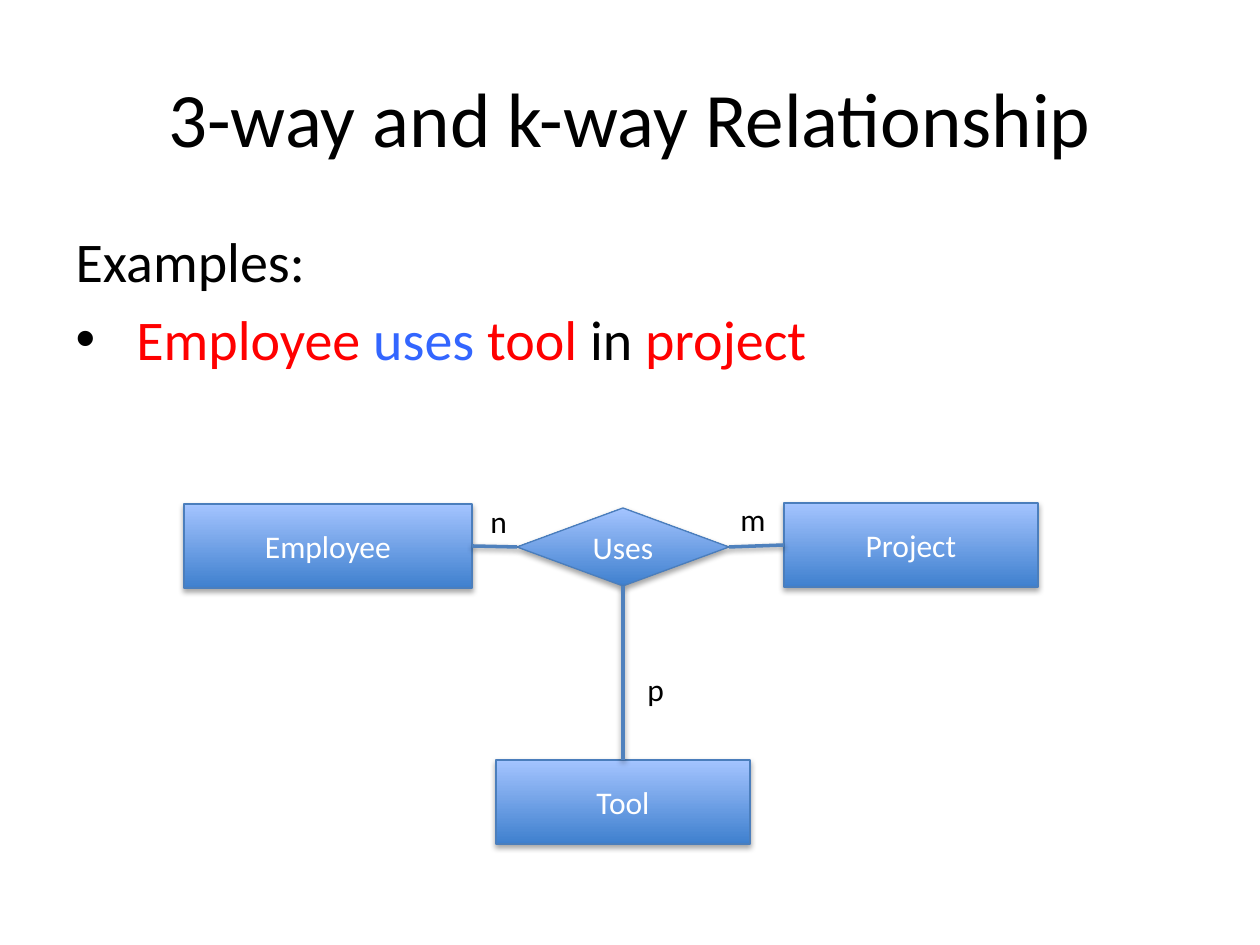
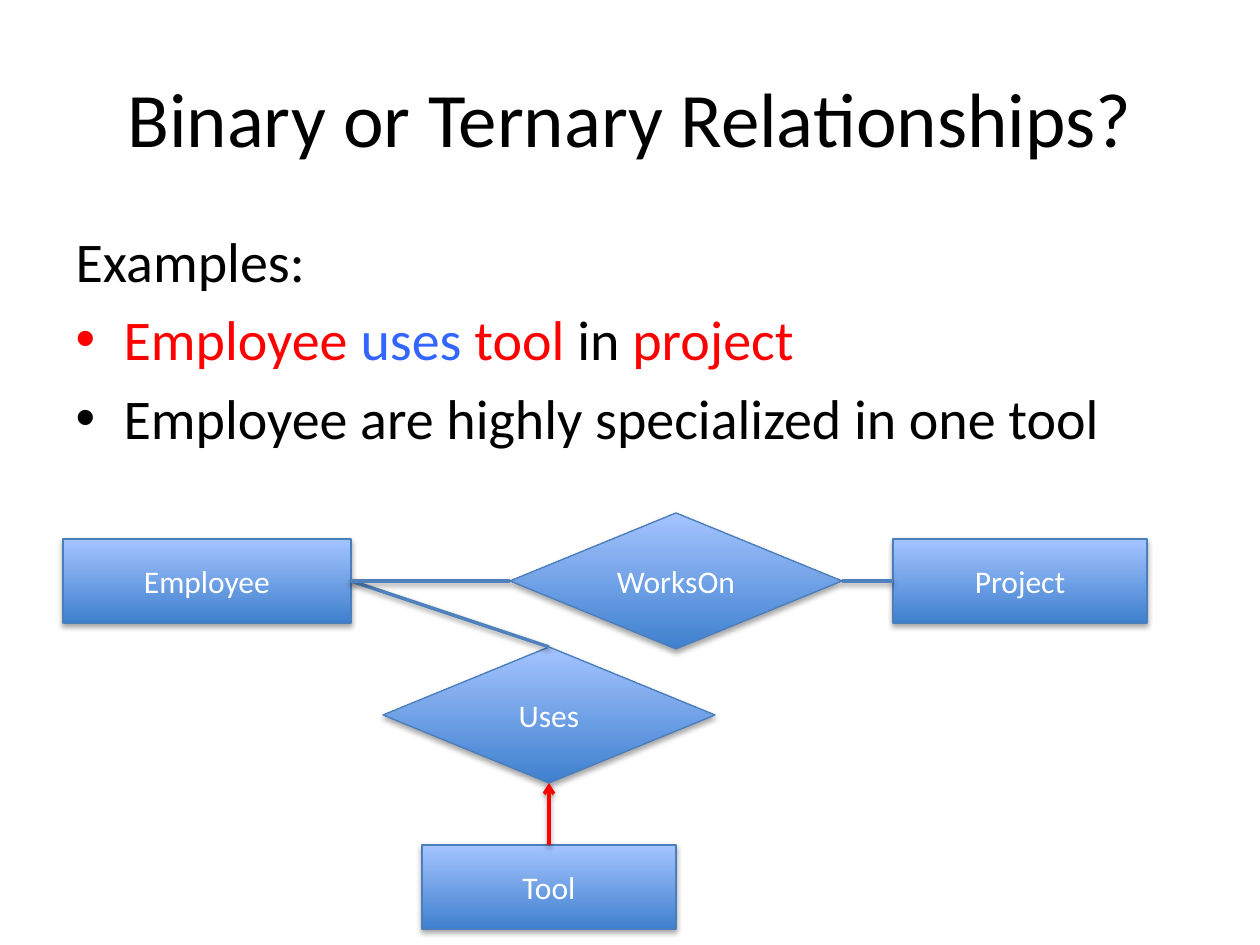
import pptx
import pptx.util
import pptx.dml.color
import pptx.enum.dml
import pptx.enum.shapes
import pptx.enum.text
import pptx.oxml
import pptx.oxml.ns

COLORS = {
    "ink": "000000",
    "entity": "FF0000",
    "relation": "3366FF",
    "light": "A4C4FF",
    "dark": "3F80CE",
    "outline": "4B7EBC",
    "link": "4F81BD",
    "node_text": "FFFFFF",
    "arrow": "FF0000",
}
FONT = "Calibri"
PX = 914400 / 126
TITLE_BOX = (63, 38, 1134, 157)
BODY_LEFT, BODY_TOP, BODY_WIDTH = 63, 220, 1134
BULLET_INDENT = 48
LABEL_HEIGHT = 50
TOP, LEFT, BOTTOM, RIGHT = range(4)

ENTITY_SIZES = {"Employee": (288, 84), "Project": (254, 84), "Tool": (254, 84)}
SENTENCE = [
    ("Employee ", "entity"),
    ("uses ", "relation"),
    ("tool", "entity"),
    (" in ", "ink"),
    ("project", "entity"),
]

SLIDES = [
    {
        "title": "3-way and k-way Relationship",
        "body_height": 624,
        "bullets": [[(" ", "ink")] + SENTENCE],
        "diamond": (212, 78),
        "nodes": {
            "Project": (784, 503),
            "Employee": (184, 504),
            "Uses": (517, 508),
            "Tool": (496, 760),
        },
        "links": [
            ("Uses", LEFT, "Employee", RIGHT, "link"),
            ("Project", LEFT, "Uses", RIGHT, "link"),
            ("Tool", TOP, "Uses", BOTTOM, "link"),
        ],
        "cardinalities": [("n", 478, 496, 42), ("m", 728, 494, 50), ("p", 635, 664, 42)],
    },
    {
        "title": "Binary or Ternary Relationships?",
        "body_height": 724,
        "bullets": [SENTENCE, [("Employee are highly specialized in one tool", "ink")]],
        "diamond": (332, 136),
        "nodes": {
            "Project": (893, 539),
            "Employee": (63, 539),
            "Uses": (383, 647),
            "Tool": (422, 845),
            "WorksOn": (510, 513),
        },
        "links": [
            ("Uses", TOP, "Employee", RIGHT, "link"),
            ("Project", LEFT, "WorksOn", RIGHT, "link"),
            ("WorksOn", LEFT, "Employee", RIGHT, "link"),
            ("Tool", TOP, "Uses", BOTTOM, "arrow"),
        ],
        "cardinalities": [],
    },
]


def px(*lengths):
    return [round(length * PX) for length in lengths]


def rgb(color):
    return pptx.dml.color.RGBColor.from_string(COLORS[color])


def place(part, box):
    part.left, part.top, part.width, part.height = px(*box)


def add_run(paragraph, text, size, color):
    run = paragraph.add_run()
    run.text = text
    run.font.name = FONT
    run.font.size = pptx.util.Pt(size)
    run.font.color.rgb = rgb(color)


def add_shadow(part, distance, alpha):
    properties = part._element.spPr
    for effects in properties.findall(pptx.oxml.ns.qn("a:effectLst")):
        properties.remove(effects)
    properties.append(pptx.oxml.parse_xml(
        f'<a:effectLst {pptx.oxml.ns.nsdecls("a")}>'
        f'<a:outerShdw blurRad="40000" dist="{distance}" dir="5400000" rotWithShape="0">'
        f'<a:srgbClr val="{COLORS["ink"]}"><a:alpha val="{alpha}"/></a:srgbClr>'
        '</a:outerShdw></a:effectLst>'))


def set_bullet(paragraph, bulleted):
    indent = px(BULLET_INDENT)[0] if bulleted else 0
    properties = paragraph._p.get_or_add_pPr()
    properties.set("marL", str(indent))
    properties.set("indent", str(-indent))
    tag = '<a:buChar {} char="•"/>' if bulleted else "<a:buNone {}/>"
    properties.append(pptx.oxml.parse_xml(tag.format(pptx.oxml.ns.nsdecls("a"))))


def add_title(slide, text):
    title = slide.shapes.title
    place(title, TITLE_BOX)
    title.text_frame.vertical_anchor = pptx.enum.text.MSO_ANCHOR.MIDDLE
    paragraph = title.text_frame.paragraphs[0]
    paragraph.alignment = pptx.enum.text.PP_ALIGN.CENTER
    add_run(paragraph, text, 44, "ink")


def add_body(slide, bullets, height):
    body = slide.placeholders[1]
    place(body, (BODY_LEFT, BODY_TOP, BODY_WIDTH, height))
    frame = body.text_frame
    for number, line in enumerate([[("Examples:", "ink")]] + bullets):
        paragraph = frame.add_paragraph() if number else frame.paragraphs[0]
        set_bullet(paragraph, number > 0)
        paragraph.space_before = pptx.util.Pt(6.4 if number else 0)
        for text, color in line:
            add_run(paragraph, text, 32, color)


def add_node(slide, name, corner, diamond_size):
    kinds = pptx.enum.shapes.MSO_SHAPE
    kind = kinds.RECTANGLE if name in ENTITY_SIZES else kinds.DIAMOND
    size = ENTITY_SIZES.get(name, diamond_size)
    node = slide.shapes.add_shape(kind, *px(*corner, *size))
    node.fill.gradient()
    node.fill.gradient_angle = 90
    for stop, color in zip(node.fill.gradient_stops, ("dark", "light")):
        stop.color.rgb = rgb(color)
    node.line.color.rgb = rgb("outline")
    node.line.width = pptx.util.Pt(0.75)
    node.shadow.inherit = False
    add_shadow(node, 23000, 35000)
    node.text_frame.vertical_anchor = pptx.enum.text.MSO_ANCHOR.MIDDLE
    paragraph = node.text_frame.paragraphs[0]
    paragraph.alignment = pptx.enum.text.PP_ALIGN.CENTER
    add_run(paragraph, name, 18, "node_text")
    return node


def add_link(slide, start, start_site, end, end_site, color):
    link = slide.shapes.add_connector(pptx.enum.shapes.MSO_CONNECTOR.STRAIGHT, 0, 0, 0, 0)
    link.begin_connect(start, start_site)
    link.end_connect(end, end_site)
    link.line.color.rgb = rgb(color)
    link.line.width = pptx.util.Pt(2)
    if color == "arrow":
        link.line._get_or_add_ln().append(pptx.oxml.parse_xml(
            f'<a:tailEnd {pptx.oxml.ns.nsdecls("a")} type="arrow"/>'))
    add_shadow(link, 20000, 38000)


def add_cardinality(slide, text, left, top, width):
    label = slide.shapes.add_textbox(*px(left, top, width, LABEL_HEIGHT))
    label.text_frame.word_wrap = False
    label.text_frame.auto_size = pptx.enum.text.MSO_AUTO_SIZE.SHAPE_TO_FIT_TEXT
    add_run(label.text_frame.paragraphs[0], text, 18, "ink")


def main():
    deck = pptx.Presentation()
    deck.slide_width, deck.slide_height = px(1260, 945)
    for content in SLIDES:
        slide = deck.slides.add_slide(deck.slide_layouts[1])
        add_title(slide, content["title"])
        add_body(slide, content["bullets"], content["body_height"])
        nodes = {name: add_node(slide, name, corner, content["diamond"])
                 for name, corner in content["nodes"].items()}
        for start, start_site, end, end_site, color in content["links"]:
            add_link(slide, nodes[start], start_site, nodes[end], end_site, color)
        for cardinality in content["cardinalities"]:
            add_cardinality(slide, *cardinality)
    deck.save("out.pptx")


if __name__ == "__main__":
    main()
